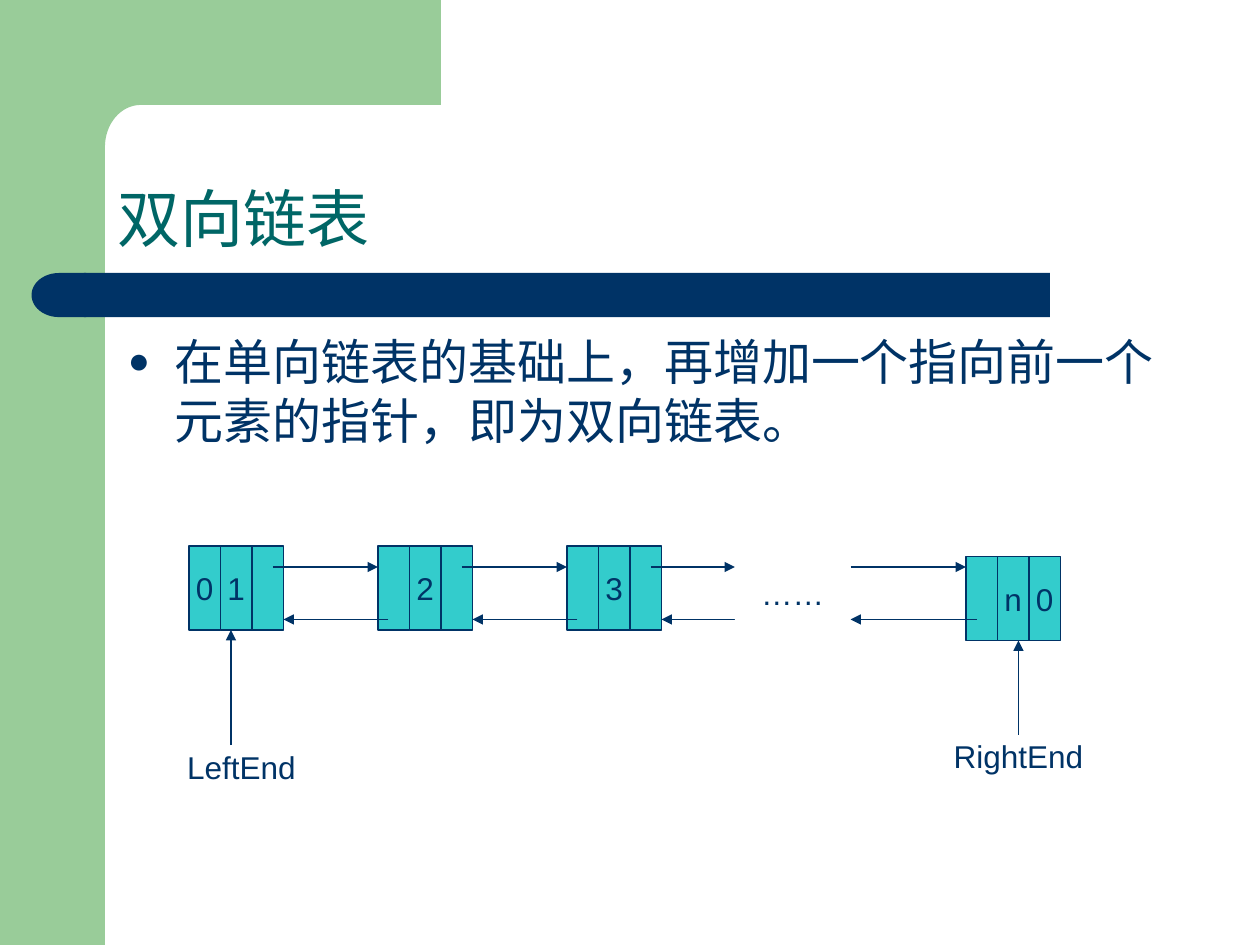
"""Build the slide on doubly linked lists, laid out on a grid of twelfths of an inch."""
from math import cos, pi, sin

from lxml import etree
from pptx import Presentation
from pptx.dml.color import RGBColor
from pptx.enum.shapes import MSO_CONNECTOR, MSO_SHAPE
from pptx.enum.text import MSO_ANCHOR, PP_ALIGN
from pptx.oxml.ns import qn
from pptx.util import Cm, Pt

RECT, DELAY = MSO_SHAPE.RECTANGLE, MSO_SHAPE.FLOWCHART_DELAY
LINE = MSO_CONNECTOR.STRAIGHT
LEFT, CENTER = PP_ALIGN.LEFT, PP_ALIGN.CENTER
TOP, MIDDLE, BOTTOM = MSO_ANCHOR.TOP, MSO_ANCHOR.MIDDLE, MSO_ANCHOR.BOTTOM

UNIT = 2.54 / 12
FONT = "Arial"
COLORS = {"green": "99CC99", "navy": "003366", "teal": "006666",
          "cell": "33CCCC", "white": "FFFFFF"}

TITLE = "双向链表"
BODY = "在单向链表的基础上，再增加一个指向前一个元素的指针，即为双向链表。"
CELL_W, CELL_H = 3, 8
NODES = [(18, 52, ("0", "1", "")), (36, 52, ("", "2", "")),
         (54, 52, ("", "3", "")), (92, 53, ("", "n", "0"))]
LABELS = [("LeftEnd", (17, 71, 12, 4)), ("RightEnd", (91, 70, 12, 4)),
          ("……", (70, 52, 11, 9))]
NEXT_Y, NEXT = 54, [(26, 36), (44, 54), (62, 70), (81, 92)]
PREV_Y, PREV = 59, [(37, 27), (55, 45), (70, 63), (93, 81)]
ENDS = [(22, 71, 60), (97, 70, 61)]


def grid(*vals):
    return [Cm(v * UNIT) for v in vals]


def color(name):
    return RGBColor.from_string(COLORS[name])


def write(shape, text, size=18, tint="navy", align=CENTER, anchor=MIDDLE,
          wrap=False, space=None, bullet=None):
    frame = shape.text_frame
    frame.word_wrap = wrap
    frame.vertical_anchor = anchor
    para = frame.paragraphs[0]
    para.text = text
    para.alignment = align
    if space:
        para.line_spacing = space
    if bullet:
        props = para._p.get_or_add_pPr()
        props.set("marL", str(Cm(0.95)))
        props.set("indent", str(Cm(-0.95)))
        etree.SubElement(props, qn("a:buSzPct"), val="75000")
        etree.SubElement(props, qn("a:buFont"), typeface=FONT)
        etree.SubElement(props, qn("a:buChar"), char=bullet)
    font = para.runs[0].font
    font.name, font.size = FONT, Pt(size)
    font.color.rgb = color(tint)


def paint(shape, fill, edge=None):
    shape.shadow.inherit = False
    shape.fill.solid()
    shape.fill.fore_color.rgb = color(fill)
    if edge:
        shape.line.color.rgb = color(edge)
        shape.line.width = Pt(0.75)
    else:
        shape.line.fill.background()
    return shape


def block(shapes, place, fill, edge=None, kind=RECT):
    return paint(shapes.add_shape(kind, *grid(*place)), fill, edge)


def arrow(shapes, *ends):
    link = shapes.add_connector(LINE, *grid(*ends))
    link.line.color.rgb = color("navy")
    link.line.width = Pt(0.75)
    etree.SubElement(link.line._get_or_add_ln(), qn("a:tailEnd"), type="triangle")
    etree.SubElement(link._element.spPr, qn("a:effectLst"))


def corner(shapes):
    turns = [pi / 2 * i / 16 for i in range(17)]
    curve = [(13.4 - 3.4 * sin(t), 14 - 4 * cos(t)) for t in turns]
    points = [(42, 0), (42, 10), *curve, (10, 15.4), (6, 15.4), (6, 0)]
    spots = [grid(*p) for p in points]
    form = shapes.build_freeform(*spots[0], scale=1.0)
    form.add_line_segments(spots[1:], close=True)
    paint(form.convert_to_shape(), "green")


def frame(shapes):
    block(shapes, (0, 0, 10, 90), "green")
    corner(shapes)
    block(shapes, (8, 26, 92, 4.2), "navy")
    block(shapes, (3, 26, 5.2, 4.2), "navy", kind=DELAY).rotation = 180
    write(shapes.add_textbox(*grid(10, 10, 104, 15)), TITLE, size=36, tint="teal",
          align=LEFT, anchor=BOTTOM, wrap=True, space=0.9)
    write(shapes.add_textbox(*grid(11, 31, 101, 48.8)), BODY, size=28,
          align=LEFT, anchor=TOP, wrap=True, bullet="●")


def chain(shapes):
    for left, top, texts in NODES:
        for i, text in enumerate(texts):
            place = (left + i * CELL_W, top, CELL_W, CELL_H)
            cell = block(shapes, place, "cell", "navy")
            if text:
                write(cell, text)
    for y, spans in ((NEXT_Y, NEXT), (PREV_Y, PREV)):
        for start, stop in spans:
            arrow(shapes, start, y, stop, y)
    for x, start, stop in ENDS:
        arrow(shapes, x, start, x, stop)
    for text, place in LABELS:
        write(block(shapes, place, "white"), text)


def main():
    deck = Presentation()
    deck.slide_width, deck.slide_height = grid(120, 90)
    shapes = deck.slides.add_slide(deck.slide_layouts[6]).shapes
    frame(shapes)
    chain(shapes)
    deck.save("out.pptx")


if __name__ == "__main__":
    main()
